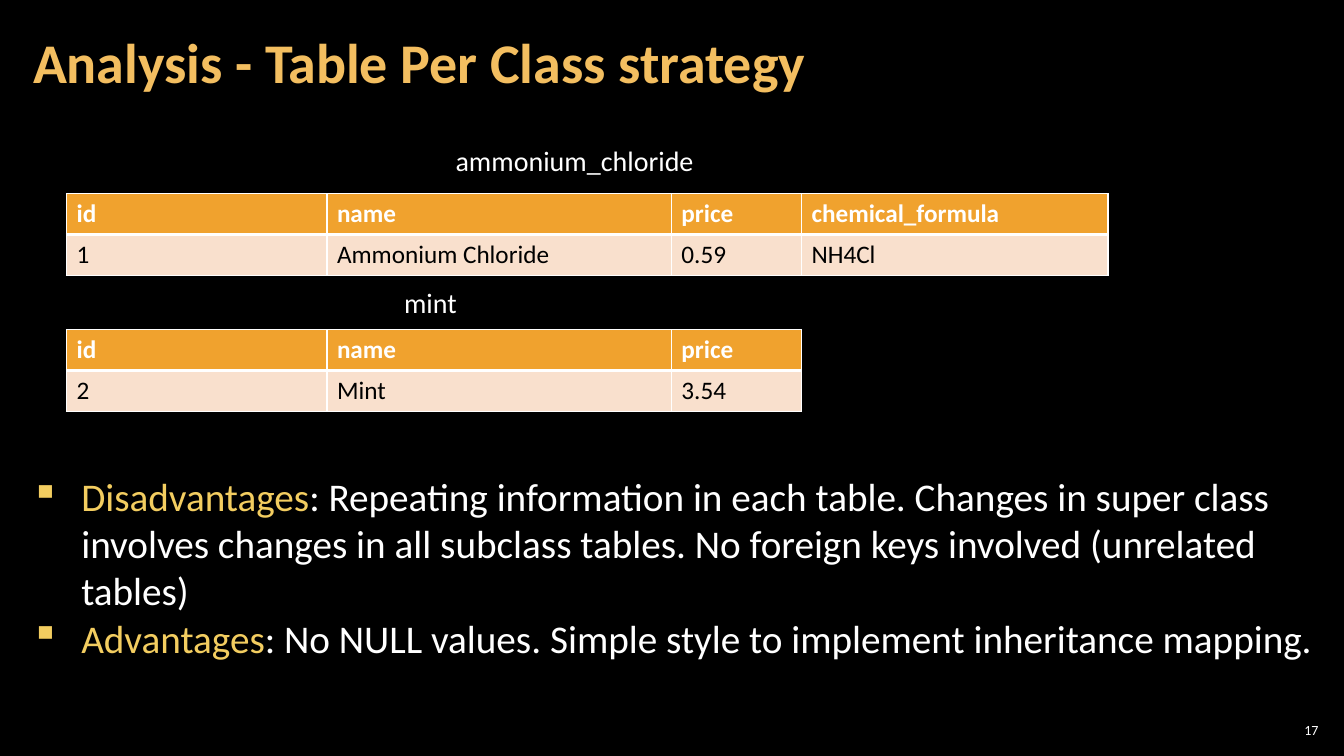
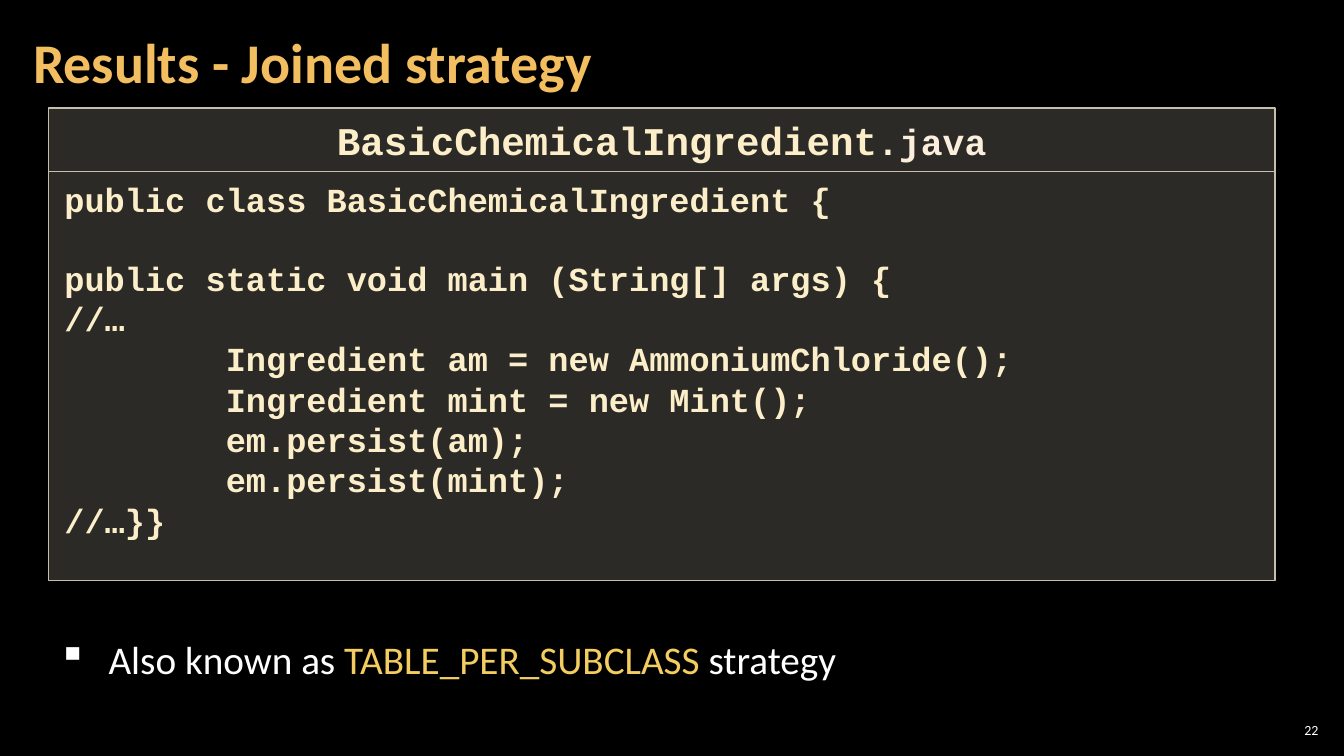
from lxml import etree
from pptx import Presentation
from pptx import util as u
from pptx.dml.color import RGBColor
from pptx.enum import shapes, text
from pptx.oxml import ns

C = {"bg": "000000", "title": "F3BE60", "accent": "F3CD60", "text": "FFFFFF",
     "head": "F0A22E", "row": "F9E0CD", "cell": "000000",
     "panel": "D9D5C7", "edge": "C7BFAC", "code": "FBEEC9", "ext": "FBEEDC"}
SANS, MONO = "Calibri", "Courier New"
SIZE = u.Inches(13.333), u.Inches(7.5)
COLS, ROWS = 64, 36
TABLE_COLS, TABLE_ROW = (12.4, 16.4, 6.2, 14.6), 1.95
TITLE_INSETS = (0.12, 0.04, 0.12, 0.04)
NUMBER_INSETS = (0.04,) * 4
CODE_INSETS = (0.16, 0.08, 0.16, 0.08)


def rgb(name):
    return RGBColor.from_string(C[name])


def across(n):
    return round(SIZE[0] * n / COLS)


def down(n):
    return round(SIZE[1] * n / ROWS)


def grid(left, top, width, height):
    return across(left), down(top), across(width), down(height)


def element(parent, tag, **attrs):
    return etree.SubElement(parent, ns.qn(tag), attrs)


def add_run(p, words, color, size, font=SANS, bold=False):
    r = p.add_run()
    r.text = words
    for key, value in {"name": font, "size": u.Pt(size), "bold": bold}.items():
        setattr(r.font, key, value)
    r.font.color.rgb = rgb(color)


def set_frame(tf, insets=None, anchor=text.MSO_ANCHOR.TOP):
    tf.word_wrap, tf.vertical_anchor = True, anchor
    sides = ("left", "top", "right", "bottom")
    for side, inset in zip(sides, insets or ()):
        setattr(tf, f"margin_{side}", u.Inches(inset))


def add_text(s, box, paragraphs, size, bullet=None, insets=None,
             align=None, anchor=text.MSO_ANCHOR.TOP):
    """Add a text box; each paragraph is a list of (words, color)."""
    tf = s.shapes.add_textbox(*grid(*box)).text_frame
    set_frame(tf, insets, anchor)
    for i, runs in enumerate(paragraphs):
        p = tf.add_paragraph() if i else tf.paragraphs[0]
        p.alignment = align
        if bullet:
            pPr = p._p.get_or_add_pPr()
            indent = u.Inches(0.5)
            pPr.set("marL", str(indent))
            pPr.set("indent", str(-indent))
            element(pPr, "a:buChar", char=bullet)
        for words, color in runs:
            add_run(p, words, color, size)


def add_slide(prs, title, number):
    s = prs.slides.add_slide(prs.slide_layouts[5])
    sp = s.shapes.title
    sp.left, sp.top, sp.width, sp.height = grid(1, 0.2, 50.25, 5.8)
    set_frame(sp.text_frame, TITLE_INSETS, text.MSO_ANCHOR.MIDDLE)
    p = sp.text_frame.paragraphs[0]
    p.alignment, p.line_spacing = text.PP_ALIGN.LEFT, 0.9
    add_run(p, title, "title", 40, bold=True)
    add_text(s, (60.72, 34.27, 2.26, 1), [[(number, "text")]], 10,
             insets=NUMBER_INSETS, align=text.PP_ALIGN.RIGHT,
             anchor=text.MSO_ANCHOR.MIDDLE)
    return s


def style_cell(cell, words, header):
    add_run(cell.text_frame.paragraphs[0], words, "text" if header else "cell",
            18, bold=header)
    widths = {"L": 1, "R": 1, "T": 1 if header else 3, "B": 3 if header else 1}
    tcPr = cell._tc.get_or_add_tcPr()
    for side, width in widths.items():
        ln = element(tcPr, f"a:ln{side}", w=str(u.Pt(width)))
        element(element(ln, "a:solidFill"), "a:srgbClr", val=C["text"])
    cell.fill.solid()
    cell.fill.fore_color.rgb = rgb("head" if header else "row")


def labelled_table(s, left, top, label, label_box, rows):
    """Place a table and its label; label_box is relative to the table."""
    dx, dy, width = label_box
    add_text(s, (left + dx, top + dy, width, 2.1), [[(label, "text")]], 20)
    widths = TABLE_COLS[:len(rows[0])]
    box = grid(left, top, sum(widths), TABLE_ROW * len(rows))
    table = s.shapes.add_table(len(rows), len(widths), *box).table
    for column, width in zip(table.columns, widths):
        column.width = across(width)
    for i, row in enumerate(rows):
        table.rows[i].height = down(TABLE_ROW)
        for j, words in enumerate(row):
            style_cell(table.cell(i, j), words, i == 0)


def code_box(s, box):
    sp = s.shapes.add_shape(shapes.MSO_SHAPE.RECTANGLE, *grid(*box))
    sp.shadow.inherit = False
    sp.fill.solid()
    sp.fill.fore_color.rgb = rgb("panel")
    color = sp.fill._xPr.find(".//" + ns.qn("a:srgbClr"))
    element(color, "a:alpha", val="20000")
    sp.line.color.rgb, sp.line.width = rgb("edge"), u.Pt(1)
    set_frame(sp.text_frame, CODE_INSETS)
    return sp.text_frame


def code_panel(s, left, top, width, height, name, ext, code):
    bar = 3.02
    tf = code_box(s, (left, top + bar, width, height - bar))
    gap = 0
    for line in code.splitlines():
        if not line:
            gap += 27
            continue
        p = tf.paragraphs[0] if not tf.text else tf.add_paragraph()
        p.alignment, p.space_before = text.PP_ALIGN.LEFT, u.Pt(gap)
        gap = 0
        add_run(p, line, "code", 24, MONO, True)
    p = code_box(s, (left, top, width, bar)).paragraphs[0]
    p.alignment = text.PP_ALIGN.CENTER
    add_run(p, name, "code", 28, MONO, True)
    add_run(p, ext, "ext", 26, MONO, True)


CODE = """public class BasicChemicalIngredient {

public static void main (String[] args) {
//…
        Ingredient am = new AmmoniumChloride();
        Ingredient mint = new Mint();
        em.persist(am);
        em.persist(mint);
//…}}"""


def analysis_slide(prs):
    s = add_slide(prs, "Analysis - Table Per Class strategy", "17")
    header = ("id", "name", "price", "chemical_formula")
    labelled_table(s, 3.17, 9.22, "ammonium_chloride", (18.05, -2.6, 13.54),
                   [header, ("1", "Ammonium Chloride", "0.59", "NH4Cl")])
    labelled_table(s, 3.17, 15.7, "mint", (15.6, -2.36, 3.8),
                   [header[:3], ("2", "Mint", "3.54")])
    add_text(s, (1, 22.27, 62, 11.8), [
        [("Disadvantages", "accent"),
         (": Repeating information in each table. Changes in super class "
          "involves changes in all subclass tables. No foreign keys involved "
          "(unrelated tables)", "text")],
        [("Advantages", "accent"),
         (": No NULL values. Simple style to implement inheritance mapping.",
          "text")]], 28, bullet="▪")


def results_slide(prs):
    s = add_slide(prs, "Results - Joined strategy", "22")
    code_panel(s, 2.3, 5.14, 58.42, 22.5, "BasicChemicalIngredient", ".java", CODE)
    add_text(s, (2.3, 30, 58.42, 2.74), [
        [("Also known as ", "text"), ("TABLE_PER_SUBCLASS ", "accent"),
         ("strategy", "text")]], 28, bullet="▪")


def main():
    prs = Presentation()
    prs.slide_width, prs.slide_height = SIZE
    fill = prs.slide_master.background.fill
    fill.solid()
    fill.fore_color.rgb = rgb("bg")
    analysis_slide(prs)
    results_slide(prs)
    prs.save("out.pptx")


if __name__ == "__main__":
    main()
